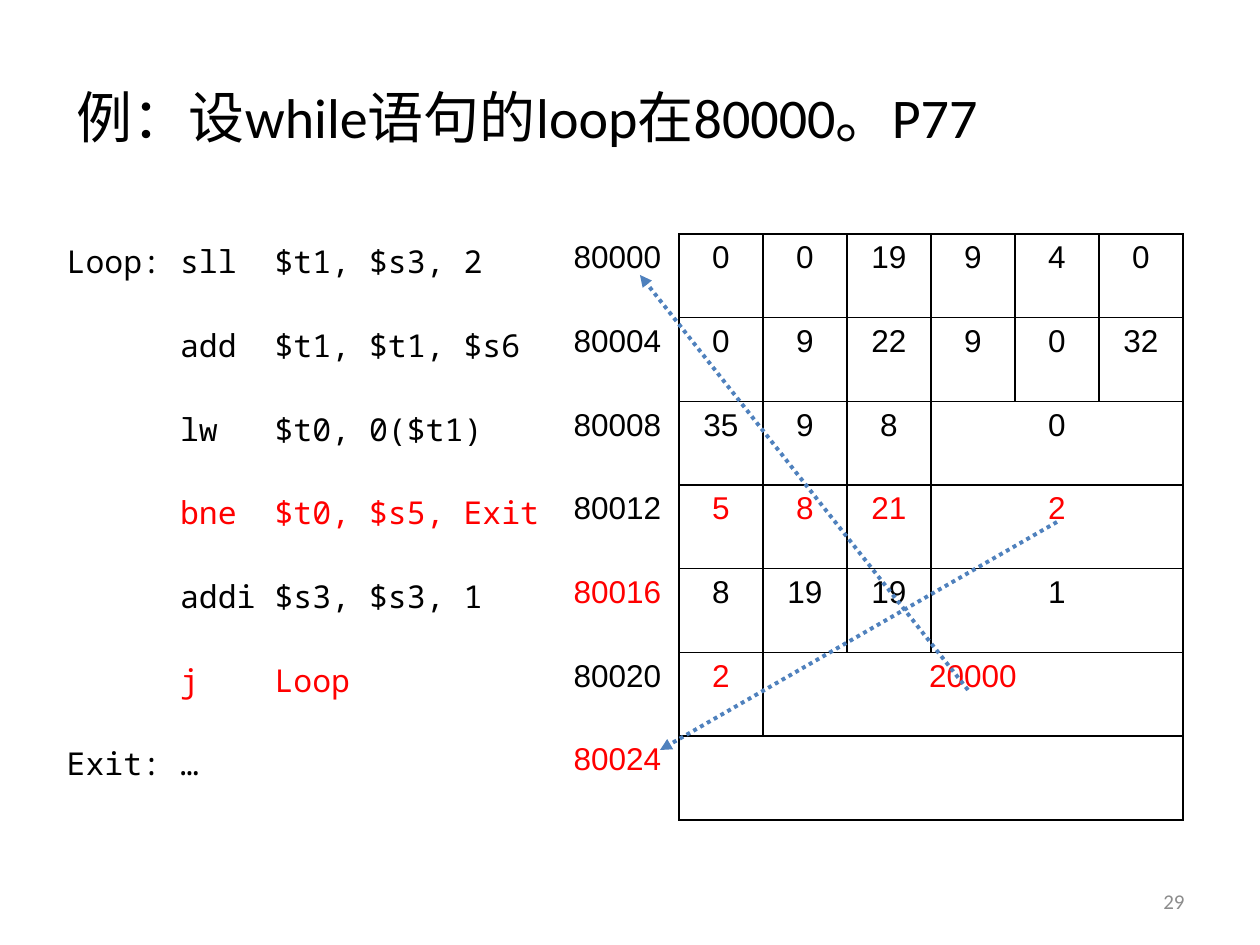
from dataclasses import dataclass
from typing import Any

from pptx import Presentation
from pptx.dml.color import RGBColor
from pptx.enum.dml import MSO_LINE
from pptx.enum.shapes import MSO_CONNECTOR
from pptx.enum.text import MSO_ANCHOR as Anchor, PP_ALIGN as Align
from pptx.oxml import parse_xml
from pptx.oxml.ns import nsdecls
from pptx.util import Emu, Pt

PX_PER_INCH = 126


def px(length: int) -> Emu:
    return Emu(round(length * 914400 / PX_PER_INCH))


@dataclass(frozen=True)
class Theme:
    black: str = "000000"
    white: str = "FFFFFF"
    red: str = "FF0000"
    arrow: str = "4F81BD"
    gray: str = "8C8C8C"
    title_font: str = "Calibri"
    code_font: str = "Noto Sans Mono"
    number_font: str = "Arial"
    title_size: int = 32
    table_size: int = 18
    page_size: int = 12


THEME = Theme()


@dataclass(frozen=True)
class Instruction:
    code: str
    address: int
    fields: tuple[int, ...]
    jumps: bool = False
    is_target: bool = False


@dataclass(frozen=True)
class Arrow:
    start: tuple[int, int]
    end: tuple[int, int]


FIELD_COUNT = 6
FIRST_FIELD = 2
COLUMN_WIDTHS = [507, 118] + [84] * FIELD_COUNT
TABLE_LEFT, TABLE_TOP, TABLE_HEIGHT = 54, 234, 586

INSTRUCTIONS = [
    Instruction("Loop: sll  $t1, $s3, 2", 80000, (0, 0, 19, 9, 4, 0)),
    Instruction("      add  $t1, $t1, $s6", 80004, (0, 9, 22, 9, 0, 32)),
    Instruction("      lw   $t0, 0($t1)", 80008, (35, 9, 8, 0)),
    Instruction("      bne  $t0, $s5, Exit", 80012, (5, 8, 21, 2), jumps=True),
    Instruction("      addi $s3, $s3, 1", 80016, (8, 19, 19, 1), is_target=True),
    Instruction("      j    Loop", 80020, (2, 20000), jumps=True),
    Instruction("Exit: …", 80024, (), is_target=True),
]

ARROWS = [
    Arrow((1057, 522), (660, 750)),
    Arrow((968, 690), (640, 275)),
]


def apply(target: Any, values: dict[str, Any]) -> None:
    for name, value in values.items():
        setattr(target, name, value)


def write(frame: Any, text: str, font: str, size: int, color: str,
          alignment: Align = Align.LEFT) -> None:
    paragraph = frame.paragraphs[0]
    paragraph.alignment = alignment
    run = paragraph.add_run()
    run.text = text
    apply(run.font, {"name": font, "size": Pt(size), "bold": False})
    run.font.color.rgb = RGBColor.from_string(color)


def set_borders(cell: Any, left: str, right: str, top: str, bottom: str) -> None:
    """Draw the four one-point borders, which must come before the cell fill."""
    properties = cell._tc.get_or_add_tcPr()
    for side, color in zip("LRTB", (left, right, top, bottom)):
        properties.append(parse_xml(
            f'<a:ln{side} {nsdecls("a")} w="{Pt(1)}"><a:solidFill>'
            f'<a:srgbClr val="{color}"/></a:solidFill></a:ln{side}>'))
    cell.fill.background()


def add_title(slide: Any, text: str) -> None:
    title = slide.shapes.title
    apply(title, {"left": px(64), "top": px(76), "width": px(1134), "height": px(100)})
    apply(title.text_frame, {"vertical_anchor": Anchor.TOP, "word_wrap": True})
    write(title.text_frame, text, THEME.title_font, THEME.title_size, THEME.black)


def write_instruction(table: Any, row: int, instruction: Instruction) -> None:
    """Fill one row; the last field spans the columns that remain."""
    size = THEME.table_size
    code_color = THEME.red if instruction.jumps else THEME.black
    address_color = THEME.red if instruction.is_target else THEME.black
    write(table.cell(row, 0).text_frame, instruction.code,
          THEME.code_font, size, code_color)
    write(table.cell(row, 1).text_frame, str(instruction.address),
          THEME.number_font, size, address_color)
    last_used = FIRST_FIELD + max(len(instruction.fields), 1) - 1
    last_column = len(COLUMN_WIDTHS) - 1
    if last_used < last_column:
        table.cell(row, last_used).merge(table.cell(row, last_column))
    for column, value in enumerate(instruction.fields, FIRST_FIELD):
        write(table.cell(row, column).text_frame, str(value),
              THEME.number_font, size, code_color, Align.CENTER)


def add_instruction_table(slide: Any, instructions: list[Instruction]) -> None:
    frame = slide.shapes.add_table(
        len(instructions), len(COLUMN_WIDTHS), px(TABLE_LEFT), px(TABLE_TOP),
        px(sum(COLUMN_WIDTHS)), px(TABLE_HEIGHT))
    table = frame.table
    apply(table, {"first_row": False, "horz_banding": False})
    for column, width in zip(table.columns, COLUMN_WIDTHS):
        column.width = px(width)
    white, black = THEME.white, THEME.black
    for row, instruction in enumerate(instructions):
        table.rows[row].height = px(TABLE_HEIGHT) // len(instructions)
        set_borders(table.cell(row, 0), white, white, white, white)
        set_borders(table.cell(row, 1), white, black, white, white)
        for column in range(FIRST_FIELD, len(COLUMN_WIDTHS)):
            set_borders(table.cell(row, column), black, black, black, black)
        write_instruction(table, row, instruction)


def add_arrow(slide: Any, arrow: Arrow) -> None:
    connector = slide.shapes.add_connector(
        MSO_CONNECTOR.STRAIGHT, *map(px, arrow.start + arrow.end))
    line = connector.line
    line.color.rgb = RGBColor.from_string(THEME.arrow)
    apply(line, {"width": Pt(2.25), "dash_style": MSO_LINE.ROUND_DOT})
    line._get_or_add_ln().append(
        parse_xml(f'<a:tailEnd {nsdecls("a")} type="triangle"/>'))
    connector._element.spPr.append(parse_xml(f'<a:effectLst {nsdecls("a")}/>'))


def add_page_number(slide: Any, number: int) -> None:
    box = slide.shapes.add_textbox(px(903), px(876), px(294), px(50))
    apply(box.text_frame, {"vertical_anchor": Anchor.MIDDLE, "word_wrap": True})
    write(box.text_frame, str(number), THEME.title_font, THEME.page_size,
          THEME.gray, Align.RIGHT)


def main() -> None:
    presentation = Presentation()
    apply(presentation, {"slide_width": px(1260), "slide_height": px(945)})
    title_only = presentation.slide_layouts.get_by_name("Title Only")
    slide = presentation.slides.add_slide(title_only)
    add_title(slide, "例：设while语句的loop在80000。P77")
    add_instruction_table(slide, INSTRUCTIONS)
    for arrow in ARROWS:
        add_arrow(slide, arrow)
    add_page_number(slide, 29)
    presentation.save("out.pptx")


if __name__ == "__main__":
    main()
